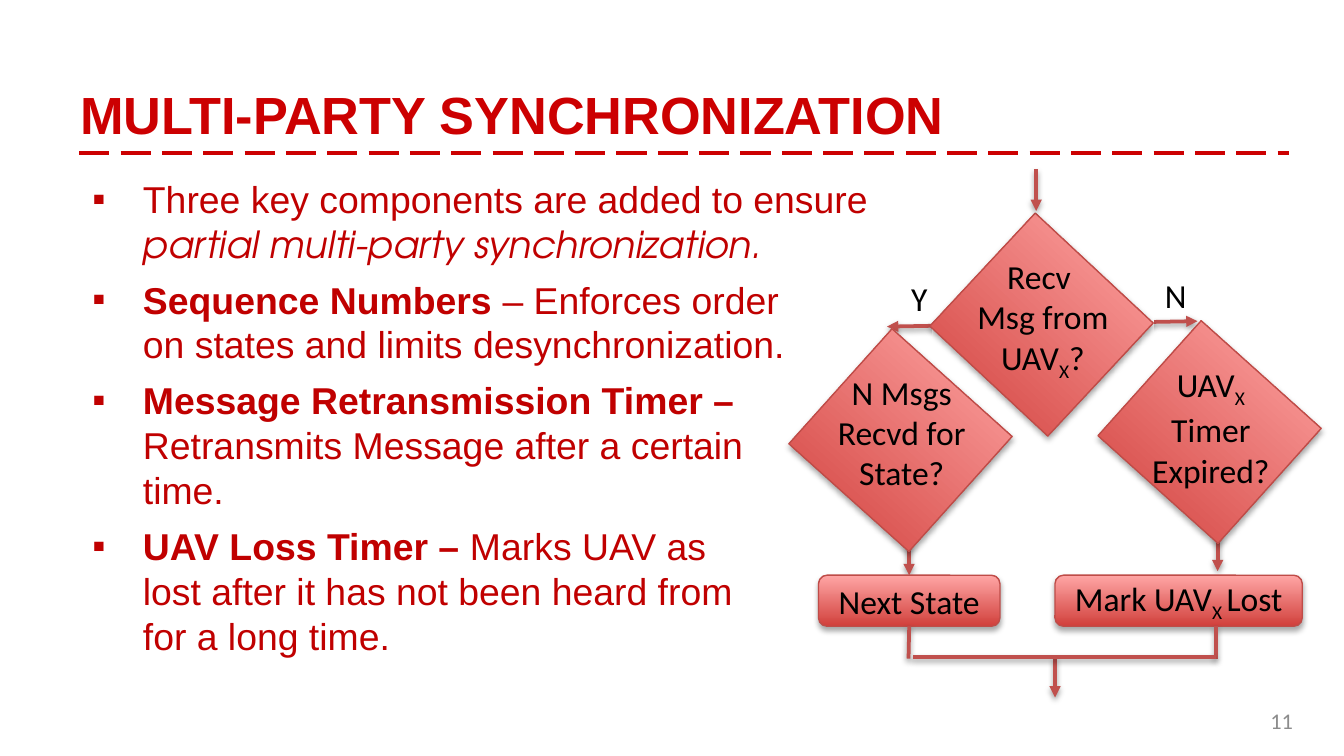
from lxml.etree import SubElement
from pptx import Presentation
from pptx.dml.color import RGBColor
from pptx.enum.dml import MSO_LINE
from pptx.enum.shapes import MSO_CONNECTOR as Connector, MSO_SHAPE as Shape
from pptx.enum.text import MSO_ANCHOR as Anchor, MSO_AUTO_SIZE as AutoSize, PP_ALIGN as Align
from pptx.oxml.ns import qn
from pptx.util import Inches, Pt

# The slide is a grid of 100 columns by 56.25 rows, each a tenth of an inch
COLUMNS, ROWS = 100, 56.25
COLORS = {
    "title": "CC0001", "body": "C00000", "label": "000000", "number": "8C8C8C",
    "arrow": "C0504D", "outline": "BF4C48", "dark": "D1403C", "light": "FFA6A5",
    "white": "FFFFFF", "shadow": "000000",
}
BOLD = {"bold": True}
SUBSCRIPT = {"subscript": True}
SCRIPT = {"font": "TeX Gyre Adventor", "italic": True}

# Each paragraph is a list of (text, format) runs
BODY = [
    [("Three key components are added to ensure\n", {}),
     ("partial multi-party synchronization.", SCRIPT)],
    [("Sequence Numbers", BOLD),
     (" – Enforces order \non states and limits desynchronization.", {})],
    [("Message Retransmission Timer – \n", BOLD),
     ("Retransmits Message after a certain \ntime.", {})],
    [("UAV Loss Timer – ", BOLD),
     ("Marks UAV as \nlost after it has not been heard from \nfor a long time.", {})],
]
# Left, top, rotation and text of each decision
DECISIONS = [
    (71.5, 18.4, 43, [[("Recv ", {})],
                      [("Msg from UAV", {}), ("X", SUBSCRIPT), ("?", {})]]),
    (84, 26.4, 41.9, [[("UAV", {}), ("X\n", SUBSCRIPT), ("Timer Expired?", {})]]),
    (61, 27, 41.9, [[("N Msgs Recvd for State?", {})]]),
]


def cells(*numbers):
    return [Inches(number / 10) for number in numbers]


def rgb(name):
    return RGBColor.from_string(COLORS[name])


def format_run(run, size, font, color, bold=False, italic=False, subscript=False):
    run.font.size = Pt(size)
    run.font.name = font
    run.font.bold = bold
    run.font.italic = italic
    run.font.color.rgb = rgb(color)
    if subscript:
        run.font._element.set("baseline", "-25000")


def add_bullet(paragraph):
    properties = paragraph._p.get_or_add_pPr()
    properties.set("marL", str(Pt(27)))
    properties.set("indent", str(-Pt(27)))
    SubElement(properties, qn("a:buFont")).set("typeface", "Arial")
    SubElement(properties, qn("a:buChar")).set("char", "▪")


def write_text(frame, paragraphs, size=18, font="Calibri", color="label", bold=False,
               align=Align.LEFT, anchor=Anchor.TOP, wrap=True, grow=False,
               bullets=False, space_after=0):
    frame.word_wrap = wrap
    frame.auto_size = AutoSize.SHAPE_TO_FIT_TEXT if grow else AutoSize.NONE
    frame.vertical_anchor = anchor
    if isinstance(paragraphs, str):
        paragraphs = [[(paragraphs, {})]]
    for index, runs in enumerate(paragraphs):
        paragraph = frame.add_paragraph() if index else frame.paragraphs[0]
        paragraph.alignment = align
        paragraph.space_after = Pt(space_after)
        if bullets:
            add_bullet(paragraph)
        for text, changes in runs:
            style = {"size": size, "font": font, "color": color, "bold": bold, **changes}
            for number, line in enumerate(text.split("\n")):
                if number:
                    paragraph.add_line_break()
                if line:
                    run = paragraph.add_run()
                    run.text = line
                    format_run(run, **style)


def add_text(shapes, box, paragraphs, **style):
    text_box = shapes.add_textbox(*cells(*box))
    write_text(text_box.text_frame, paragraphs, **style)


def add_shadow(effects, distance, opacity):
    shadow = SubElement(effects, qn("a:outerShdw"), blurRad=str(Pt(3.1)),
                        dist=str(Pt(distance)), dir="5400000", rotWithShape="0")
    color = SubElement(shadow, qn("a:srgbClr"), val=COLORS["shadow"])
    SubElement(color, qn("a:alpha"), val=str(opacity * 1000))


def add_line(shapes, start, end, color="arrow", head=False, tail=False,
             dash=None, shadow=True):
    line = shapes.add_connector(Connector.STRAIGHT, *cells(*start, *end))
    line.line.color.rgb = rgb(color)
    line.line.width = Pt(2)
    if dash:
        line.line.dash_style = dash
    properties = line._element.spPr
    outline = properties.find(qn("a:ln"))
    for tag, wanted in (("a:headEnd", head), ("a:tailEnd", tail)):
        if wanted:
            SubElement(outline, qn(tag), type="triangle")
    effects = SubElement(properties, qn("a:effectLst"))
    if shadow:
        add_shadow(effects, 1.6, 38)
    return line


def add_block(shapes, kind, box, rotation=0):
    """A red gradient shape with a soft shadow."""
    block = shapes.add_shape(kind, *cells(*box))
    block.rotation = rotation
    block.fill.gradient()
    block.fill.gradient_angle = 90
    for stop, color in zip(block.fill.gradient_stops, ("dark", "light")):
        stop.color.rgb = rgb(color)
    block.line.color.rgb = rgb("outline")
    block.line.width = Pt(0.75)
    block.shadow.inherit = False
    add_shadow(block._element.spPr.find(qn("a:effectLst")), 1.8, 35)
    return block


def add_decision(slide, left, top, rotation, paragraphs):
    group = slide.shapes.add_group_shape()
    add_block(group.shapes, Shape.RECTANGLE, (left, top, 12, 11.5), rotation)
    add_text(group.shapes, (left - 1.4, top + 0.15, 15, 10.1), paragraphs,
             align=Align.CENTER, grow=True)


def add_result(slide, left, width, paragraphs):
    block = add_block(slide.shapes, Shape.ROUNDED_RECTANGLE, (left, 42.8, width, 3.8))
    write_text(block.text_frame, paragraphs, align=Align.CENTER, anchor=Anchor.MIDDLE)
    return block


def add_mask(slide, box):
    mask = slide.shapes.add_shape(Shape.RECTANGLE, *cells(*box))
    mask.fill.solid()
    mask.fill.fore_color.rgb = rgb("white")
    mask.line.color.rgb = rgb("white")
    mask.line.width = Pt(0.75)
    mask.shadow.inherit = False


def add_flowchart(slide):
    shapes = slide.shapes
    # Yes and no branches, hidden behind the first decision
    add_line(shapes, (66, 24.3), (89.1, 23.9), head=True, tail=True)
    add_mask(slide, (69.4, 15.9, 16.4, 11.3))
    add_text(shapes, (85.7, 20, 3.6, 4), "N", wrap=False, grow=True)
    add_text(shapes, (66.8, 20.2, 3.2, 4), "Y", wrap=False, grow=True)

    # Arrows down to the results, then the decisions over them
    add_line(shapes, (90.6, 38.7), (90.6, 42.5), tail=True)
    to_next = add_line(shapes, (67.6, 39), (67.6, 42.8), tail=True)
    for decision in DECISIONS:
        add_decision(slide, *decision)
    add_line(shapes, (77.1, 12.6), (77.1, 15.7), tail=True)

    # Results
    next_state = add_result(slide, 60.9, 13.5, "Next State")
    add_result(slide, 78.5, 18.4, [[("Mark UAV", {}), ("X ", SUBSCRIPT), ("Lost", {})]])
    to_next.end_connect(next_state, 0)

    # Both results join and leave by one arrow
    add_line(shapes, (78.5, 48.9), (78.5, 51.9), tail=True)
    from_next = add_line(shapes, (67.6, 46.6), (67.6, 49))
    from_next.begin_connect(next_state, 2)
    add_line(shapes, (90.5, 46.6), (90.5, 49))
    add_line(shapes, (90.5, 48.9), (67.9, 48.9))


def main():
    presentation = Presentation()
    presentation.slide_width, presentation.slide_height = cells(COLUMNS, ROWS)
    slide = presentation.slides.add_slide(presentation.slide_layouts[6])

    # Heading, body and page number
    add_text(slide.shapes, (5.9, 12.6, 86.3, 36.4), BODY, size=20, font="Arial",
             color="body", bullets=True, space_after=6)
    add_text(slide.shapes, (5, 4.05, 90, 8.8), "MULTI-PARTY SYNCHRONIZATION", size=28,
             font="Arial", color="title", bold=True, anchor=Anchor.MIDDLE)
    add_line(slide.shapes, (5.9, 11.4), (95.9, 11.4), color="title",
             dash=MSO_LINE.LONG_DASH, shadow=False)
    add_text(slide.shapes, (73.9, 52.1, 23.3, 3), "11", size=12, color="number",
             align=Align.RIGHT, anchor=Anchor.MIDDLE)

    add_flowchart(slide)
    presentation.save("out.pptx")


if __name__ == "__main__":
    main()
